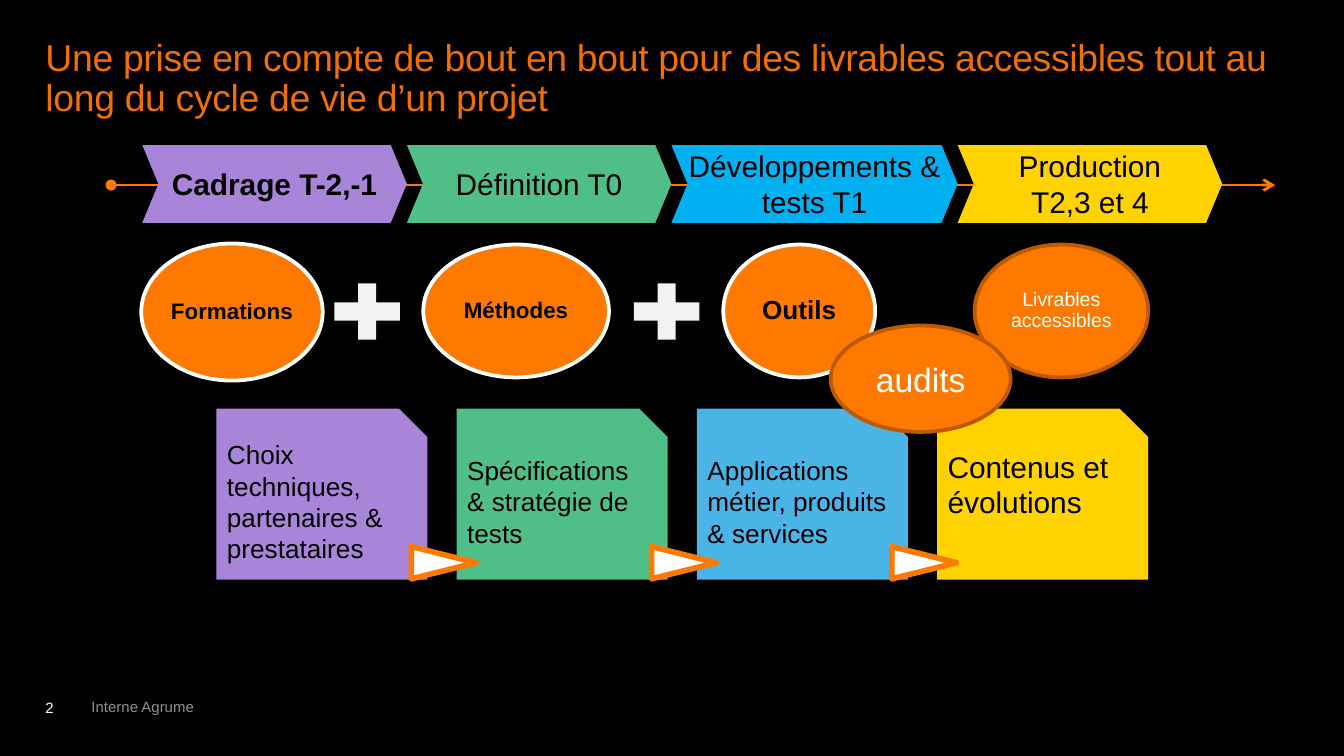
from typing import NamedTuple, Optional

from lxml import etree
from pptx import Presentation
from pptx.dml.color import RGBColor
from pptx.enum import shapes, text
from pptx.oxml import ns
from pptx.util import Cm, Pt

BLACK = RGBColor(0x00, 0x00, 0x00)
WHITE = RGBColor(0xFF, 0xFF, 0xFF)
LIGHT_GREY = RGBColor(0xF2, 0xF2, 0xF2)
GREY = RGBColor(0x8F, 0x8F, 0x8F)
TITLE_ORANGE = RGBColor(0xF1, 0x6E, 0x00)
ORANGE = RGBColor(0xFF, 0x79, 0x00)
DARK_ORANGE = RGBColor(0xBD, 0x5A, 0x00)
PURPLE = RGBColor(0xA8, 0x85, 0xD8)
GREEN = RGBColor(0x50, 0xBE, 0x87)
BRIGHT_BLUE = RGBColor(0x00, 0xB0, 0xF0)
SOFT_BLUE = RGBColor(0x4B, 0xB4, 0xE6)
YELLOW = RGBColor(0xFF, 0xD2, 0x00)

KIND = shapes.MSO_SHAPE
ANCHOR = text.MSO_ANCHOR
ALIGN = text.PP_ALIGN


class Box(NamedTuple):
    """Left, top, width and height in centimetres."""
    left: float
    top: float
    width: float
    height: float


class Style(NamedTuple):
    size: float
    color: RGBColor = BLACK
    bold: bool = False
    align: ALIGN = ALIGN.CENTER
    anchor: ANCHOR = ANCHOR.MIDDLE
    spacing: float = 1.0
    insets: tuple = (0, 0, 0, 0)
    wrap: bool = True


class Phase(NamedTuple):
    label: str
    width: float
    fill: RGBColor
    inset: float
    bold: bool = False


class Lever(NamedTuple):
    label: str
    box: Box
    line: RGBColor
    style: Style


class Deliverable(NamedTuple):
    label: str
    fill: RGBColor
    size: float = 14
    bottom_inset: float = 0


PHASE_LEFT, PHASE_TOP, PHASE_HEIGHT = 2.69, 2.74, 1.47
PHASES = [
    Phase("Cadrage T-2,-1", 5, PURPLE, 0.1, True),
    Phase("Définition T0", 5, GREEN, 0.1),
    Phase("Développements & tests T1", 5.41, BRIGHT_BLUE, 0),
    Phase("Production T2,3 et 4", 5, YELLOW, 0.25),
]

LEVERS = [
    Lever("Formations", Box(2.67, 4.6, 3.43, 2.59), WHITE,
          Style(12, bold=True, spacing=0.9)),
    Lever("Méthodes", Box(8, 4.62, 3.51, 2.51), WHITE,
          Style(12, bold=True, spacing=0.9)),
    Lever("Outils", Box(13.67, 4.62, 2.87, 2.51), WHITE,
          Style(14, bold=True, spacing=0.9)),
    Lever("Livrables accessibles", Box(18.42, 4.62, 3.28, 2.51), DARK_ORANGE,
          Style(10.5, WHITE, spacing=0.9)),
]
AUDITS = Lever("audits", Box(15.7, 6.15, 3.4, 2.01), DARK_ORANGE,
               Style(18, WHITE))
PLUS_LEFTS = (6.1, 11.76)

CARD = Box(4.09, 7.72, 3.99, 3.23)
CARD_STEP = 4.54
DELIVERABLES = [
    Deliverable("Choix techniques, partenaires & prestataires", PURPLE),
    Deliverable("Spécifications & stratégie de tests", GREEN),
    Deliverable("Applications métier, produits & services", SOFT_BLUE),
    Deliverable("Contenus et évolutions", YELLOW, 16, 0.65),
]


def write(shape, label: str, style: Style):
    """Fill a shape with one styled paragraph and return its run."""
    frame = shape.text_frame
    frame.text = label
    frame.word_wrap = style.wrap
    frame.vertical_anchor = style.anchor
    (frame.margin_left, frame.margin_top,
     frame.margin_right, frame.margin_bottom) = map(Cm, style.insets)
    paragraph = frame.paragraphs[0]
    paragraph.alignment = style.align
    paragraph.line_spacing = style.spacing
    run = paragraph.runs[0]
    run.font.name = "Arial"
    run.font.size = Pt(style.size)
    run.font.bold = style.bold
    run.font.color.rgb = style.color
    return run


def add_text(slide, label: str, box: Box, style: Style):
    return write(slide.shapes.add_textbox(*map(Cm, box)), label, style)


def add_solid(slide, kind: KIND, box: Box, fill: RGBColor,
              line: Optional[RGBColor] = None, line_width: float = 2):
    shape = slide.shapes.add_shape(kind, *map(Cm, box))
    shape.shadow.inherit = False
    shape.fill.solid()
    shape.fill.fore_color.rgb = fill
    if line is None:
        shape.line.fill.background()
    else:
        shape.line.color.rgb = line
        shape.line.width = Pt(line_width)
    return shape


def add_timeline(slide, start: float, end: float, y: float) -> None:
    axis = slide.shapes.add_connector(
        shapes.MSO_CONNECTOR.STRAIGHT, Cm(start), Cm(y), Cm(end), Cm(y))
    axis.line.color.rgb = ORANGE
    axis.line.width = Pt(1.5)
    line = axis.line._get_or_add_ln()
    for end_tag, end_type in (("a:headEnd", "oval"), ("a:tailEnd", "arrow")):
        etree.SubElement(line, ns.qn(end_tag), type=end_type)
    etree.SubElement(axis._element.spPr, ns.qn("a:effectLst"))


def add_lever(slide, lever: Lever) -> None:
    ellipse = add_solid(slide, KIND.OVAL, lever.box, ORANGE, lever.line)
    write(ellipse, lever.label, lever.style)


def main() -> None:
    deck = Presentation()
    deck.slide_width, deck.slide_height = Cm(25.4), Cm(14.28)
    slide = deck.slides.add_slide(deck.slide_layouts[6])
    slide.background.fill.solid()
    slide.background.fill.fore_color.rgb = BLACK

    # Footer and title
    corner = Style(8, WHITE, align=ALIGN.LEFT, anchor=ANCHOR.BOTTOM, spacing=0.85)
    add_text(slide, "2", Box(0.86, 12.6, 0.76, 0.94), corner)
    add_text(slide, "Interne Agrume", Box(1.73, 13.18, 2.06, 0.33),
             Style(8, GREY, align=ALIGN.LEFT, anchor=ANCHOR.TOP, wrap=False))
    title = add_text(
        slide,
        "Une prise en compte de bout en bout pour des livrables accessibles "
        "tout au long du cycle de vie d’un projet",
        Box(0.86, 0.74, 23.65, 2.06),
        Style(20, TITLE_ORANGE, align=ALIGN.LEFT, anchor=ANCHOR.TOP, spacing=0.9))
    title.font._element.set("spc", "-20")

    # Project phases along the timeline
    add_timeline(slide, 2.1, 24.1, PHASE_TOP + PHASE_HEIGHT / 2 + 0.02)
    left = PHASE_LEFT
    for phase in PHASES:
        chevron = add_solid(slide, KIND.CHEVRON,
                            Box(left, PHASE_TOP, phase.width, PHASE_HEIGHT), phase.fill)
        chevron.adjustments[0] = 0.207
        write(chevron, phase.label,
              Style(16, bold=phase.bold, insets=(phase.inset, 0.1, phase.inset, 0.1)))
        left += phase.width

    # Levers and plus signs
    for lever in LEVERS:
        add_lever(slide, lever)
    for plus_left in PLUS_LEFTS:
        add_solid(slide, KIND.MATH_PLUS, Box(plus_left, 5.16, 1.68, 1.45), LIGHT_GREY)

    # Deliverables of each phase
    card_lefts = [CARD.left + i * CARD_STEP for i in range(len(DELIVERABLES))]
    for card_left, item in zip(card_lefts, DELIVERABLES):
        card = add_solid(slide, KIND.SNIP_1_RECTANGLE,
                         CARD._replace(left=card_left), item.fill)
        write(card, item.label, Style(item.size, align=ALIGN.LEFT,
                                      insets=(0.2, 0, 0.1, item.bottom_inset)))

    # Arrows from one deliverable to the next
    for card_left in card_lefts[:-1]:
        arrow = add_solid(slide, KIND.FLOWCHART_EXTRACT,
                          Box(card_left + CARD.width, 10.02, 0.61, 1.22),
                          WHITE, ORANGE, 3)
        arrow.rotation = 90

    # Audits, on top of the rest
    add_lever(slide, AUDITS)

    deck.save("out.pptx")


if __name__ == "__main__":
    main()
